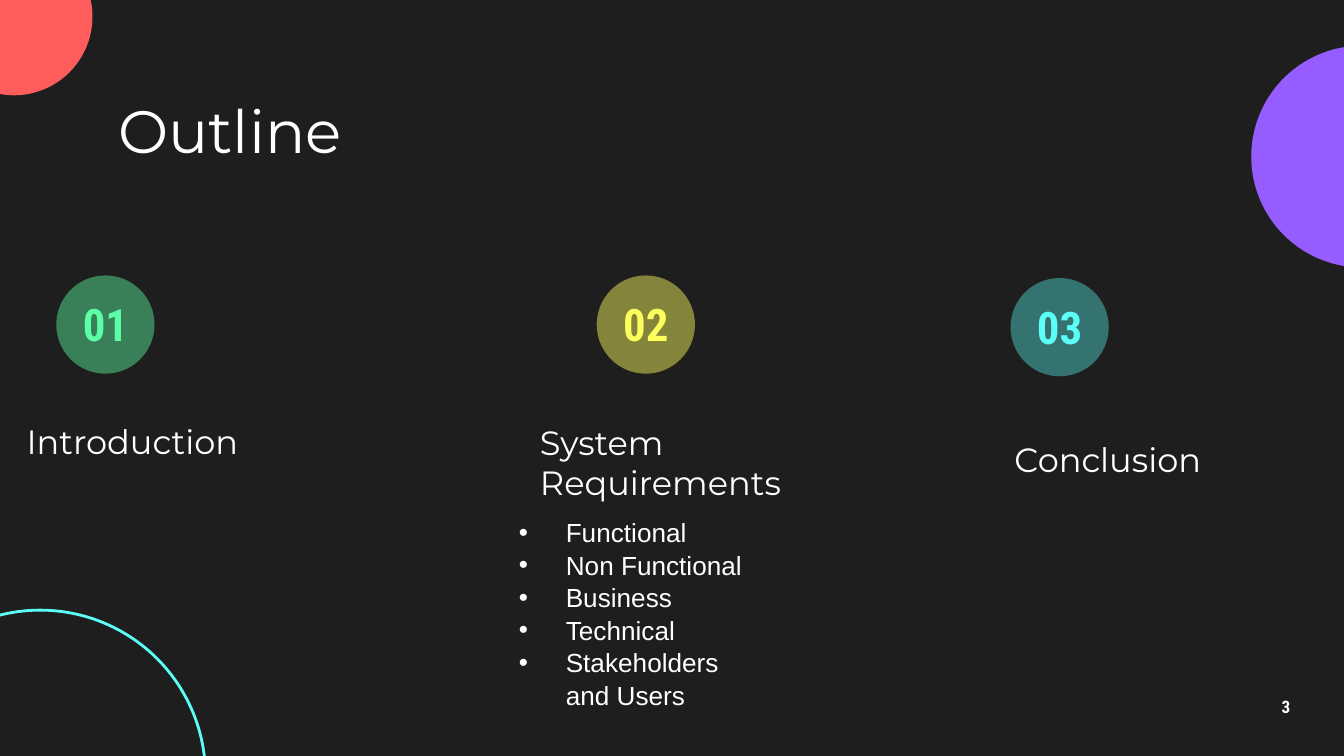
import pptx
import pptx.dml.color
import pptx.enum.shapes
import pptx.enum.text
import pptx.oxml.ns
import pptx.util
from lxml import etree

Pt = pptx.util.Pt
Align = pptx.enum.text.PP_ALIGN

COLOURS = {
    "background": "1E1E1E",
    "text": "FFFFFF",
    "purple": "955CFF",
    "red": "FF5C5C",
    "cyan": "5CFFF8",
    "yellow": "FDFF5C",
    "green": "5CFFA6",
}
HEADING_FONT = "Montserrat"
NUMBER_FONT = "Roboto Condensed"
BADGE_SIZE = 52.6
SECTIONS = [
    ("01", "green", 44, (30.2, 147.6), "Introduction", (7.2, 214.6, 141.8, 43.2)),
    ("02", "yellow", 46, (319.7, 147.6), "System Requirements", (282.2, 214.6, 154.8, 65.5)),
    ("03", "cyan", 38, (541.4, 149), "Conclusion", (536.4, 219.6, 141.8, 52.6)),
]
REQUIREMENTS = ["Functional", "Non Functional", "Business", "Technical", "Stakeholders and Users"]


def rgb(name):
    return pptx.dml.color.RGBColor.from_string(COLOURS[name])


def add_child(parent, tag, **attributes):
    return etree.SubElement(parent, pptx.oxml.ns.qn(tag), attributes)


def add_circle(page, left, top, size, fill=None, line=None, opacity=100):
    circle = page.shapes.add_shape(
        pptx.enum.shapes.MSO_SHAPE.OVAL, Pt(left), Pt(top), Pt(size), Pt(size))
    circle.shadow.inherit = False
    if fill:
        circle.fill.solid()
        circle.fill.fore_color.rgb = rgb(fill)
        if opacity < 100:
            colour = circle.fill._xPr.find(".//" + pptx.oxml.ns.qn("a:srgbClr"))
            add_child(colour, "a:alpha", val=str(opacity * 1000))
    else:
        circle.fill.background()
    if line:
        circle.line.color.rgb = rgb(line)
        circle.line.width = Pt(1.5)
    else:
        circle.line.fill.background()


def fill_text(box, place, text, size, font, colour="text", bold=False, align=Align.LEFT):
    box.left, box.top, box.width, box.height = map(Pt, place)
    frame = box.text_frame
    frame.text = text
    frame.word_wrap = True
    frame.auto_size = pptx.enum.text.MSO_AUTO_SIZE.NONE
    frame.vertical_anchor = pptx.enum.text.MSO_ANCHOR.MIDDLE
    frame.margin_left = frame.margin_right = Pt(7.2)
    frame.margin_top = frame.margin_bottom = Pt(7.2)
    for para in frame.paragraphs:
        para.alignment = align
        para.space_before = Pt(0)
        for span in para.runs:
            span.font.size = Pt(size)
            span.font.name = font
            span.font.bold = bold
            span.font.color.rgb = rgb(colour)
    return frame


def add_text(page, place, *style, **options):
    box = page.shapes.add_textbox(*map(Pt, place))
    return fill_text(box, place, *style, **options)


def add_bullets(frame):
    for para in frame.paragraphs:
        para.line_spacing = 1.04
        properties = para._p.get_or_add_pPr()
        properties.set("marL", str(Pt(36)))
        properties.set("indent", str(Pt(-25.2)))
        bullet_colour = add_child(properties, "a:buClr")
        add_child(bullet_colour, "a:srgbClr", val=COLOURS["text"])
        add_child(properties, "a:buFont", typeface="Arial")
        add_child(properties, "a:buChar", char="•")


def add_section(page, number, colour, opacity, corner, heading, place):
    left, top = corner
    add_circle(page, left, top, BADGE_SIZE, fill=colour, opacity=opacity)
    add_text(page, (left, top + 7.9, BADGE_SIZE, 36), number, 24, NUMBER_FONT,
             colour=colour, bold=True, align=Align.CENTER)
    add_text(page, place, heading, 18, HEADING_FONT)


def main():
    deck = pptx.Presentation()
    deck.slide_width, deck.slide_height = Pt(720), Pt(405)
    page = deck.slides.add_slide(deck.slide_layouts[1])
    page.background.fill.solid()
    page.background.fill.fore_color.rgb = rgb("background")

    add_circle(page, 670.3, 24.5, 118.8, fill="purple")
    add_circle(page, -34.6, -33.1, 84.2, fill="red")
    add_circle(page, -67, 326.9, 177.1, line="cyan")

    fill_text(page.shapes.title, (56.2, 51.1, 607.7, 36.7), "Outline", 32, HEADING_FONT)
    for section in SECTIONS:
        add_section(page, *section)
    requirements = fill_text(page.placeholders[1], (259.9, 272.2, 154.8, 112.3),
                             "\n".join(REQUIREMENTS), 14, "Arial")
    add_bullets(requirements)

    page_number = add_text(page, (667.4, 367.2, 43.2, 24.5), "3", 9.2, NUMBER_FONT,
                           bold=True, align=Align.CENTER)
    page_number.paragraphs[0].line_spacing = 0.9
    deck.save("out.pptx")


if __name__ == "__main__":
    main()
